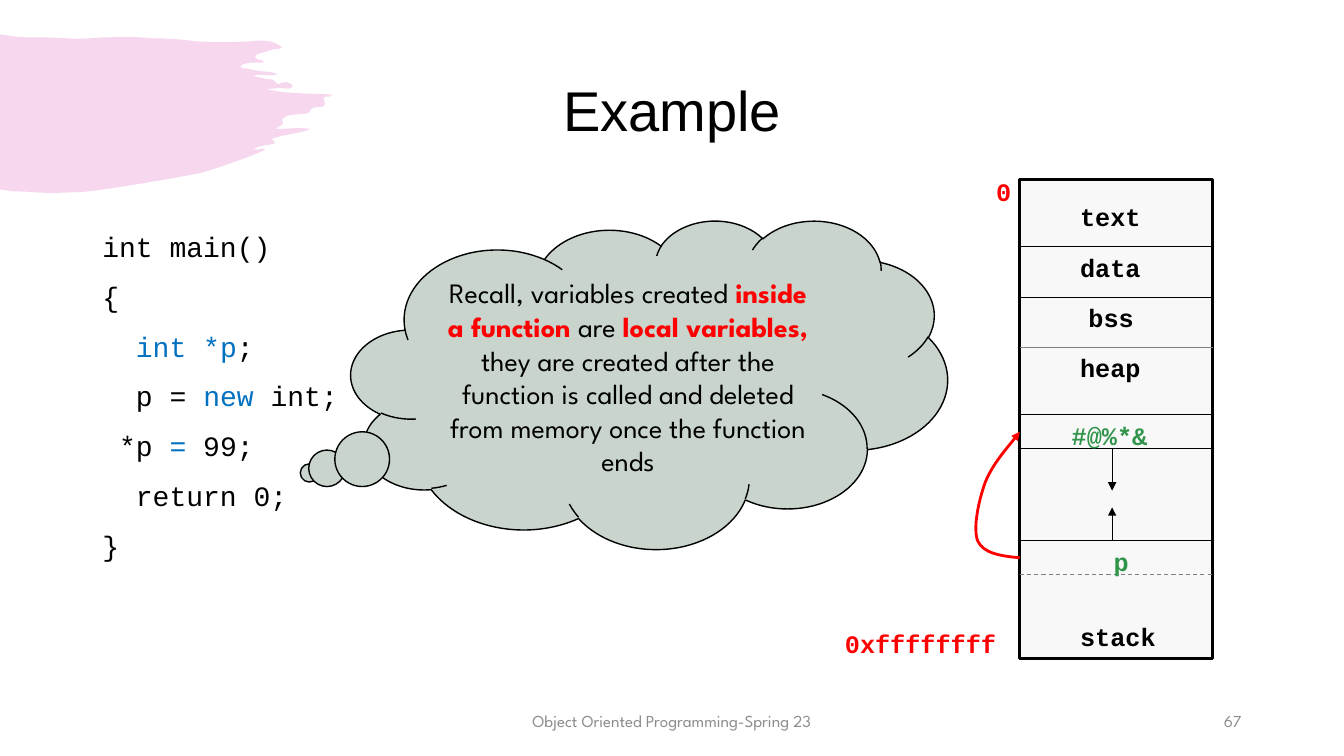
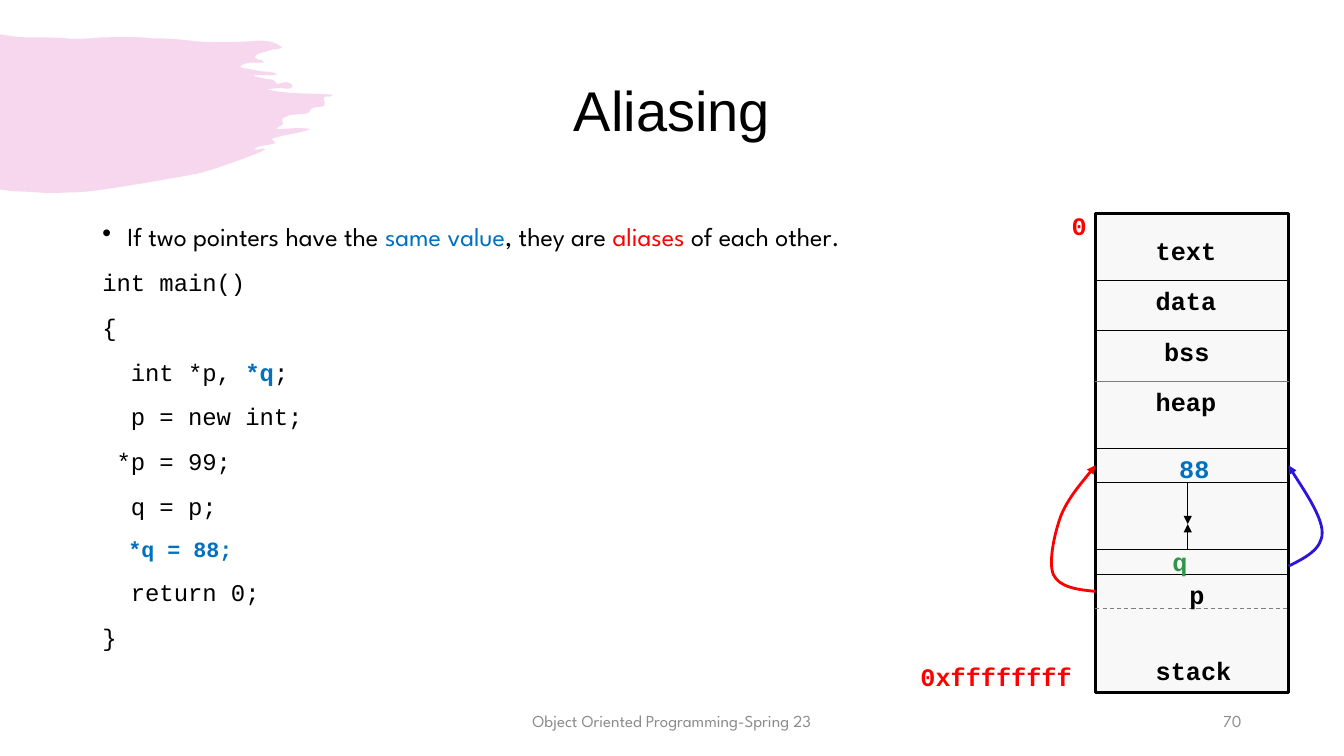
"""Build two slides about pointers, each with a memory map on a 160 by 90 grid."""
from dataclasses import dataclass, replace
from typing import NamedTuple, Optional

from lxml.etree import SubElement
from pptx import Presentation
from pptx.dml.color import RGBColor
from pptx.enum.dml import MSO_LINE
from pptx.enum.shapes import MSO_CONNECTOR, MSO_SHAPE
from pptx.enum.text import MSO_ANCHOR, PP_ALIGN
from pptx.oxml.ns import qn
from pptx.util import Inches, Pt

COLUMNS, ROWS = 160, 90
UNIT = Inches(7.5) / ROWS


@dataclass(frozen=True)
class Theme:
    black: str = "000000"
    red: str = "FF0000"
    blue: str = "0070C0"
    indigo: str = "2C14DE"
    green: str = "31944B"
    gray: str = "7F7F7F"
    footer: str = "8C8C8C"
    memory: str = "F8F8F8"
    cloud: str = "C8D4CC"
    brush: str = "D739AE"
    heading: str = "Arial"
    body: str = "League Spartan"
    code: str = "Courier New"
    title_size: float = 40
    text_size: float = 20
    label_size: float = 18
    footer_size: float = 12
    bullet_size: float = 18.6
    listing_size: float = 17.1
    small_size: float = 15.5


THEME = Theme()


class Area(NamedTuple):
    left: float
    top: float
    width: float
    height: float


class Span(NamedTuple):
    text: str
    color: str = THEME.black
    bold: bool = False


@dataclass(frozen=True)
class Para:
    spans: tuple[Span, ...]
    size: float
    font: str = THEME.body
    align: PP_ALIGN = PP_ALIGN.LEFT
    spacing: float = 1.0
    before: float = 0
    bullet: bool = False


class Label(NamedTuple):
    text: str
    column: float
    row: float
    color: str = THEME.black


class Divider(NamedTuple):
    row: float
    color: str = THEME.black
    dashed: bool = False


class Growth(NamedTuple):
    start: float
    end: float


class Pointer(NamedTuple):
    points: tuple[tuple[float, float], ...]
    color: str


@dataclass(frozen=True)
class Memory:
    left: float
    top: float
    labels: tuple[Label, ...]
    dividers: tuple[Divider, ...]
    growths: tuple[Growth, ...]
    pointers: tuple[Pointer, ...]


MEMORY_WIDTH, MEMORY_HEIGHT, MIDDLE = 23, 57, 11
LABELS = (Label("0xffffffff", -22, 52.8, THEME.red), Label("0", -4, -1, THEME.red),
          Label("text", 6, 2), Label("data", 6, 8), Label("bss", 7, 14),
          Label("heap", 6, 20), Label("stack", 6, 52))
DIVIDERS = (Divider(8), Divider(14), Divider(20, THEME.gray), Divider(28),
            Divider(32), Divider(43), Divider(47, THEME.gray, True))
P_POINTER = Pointer(((0, 45), (-2.2, 44.8), (-4.3, 44.5), (-5, 43), (-5.6, 41.5),
                     (-4.9, 38.2), (-4.1, 36), (-3.2, 33.8), (-0.7, 31), (0, 30)), THEME.red)
Q_POINTER = Pointer(((23, 42), (25, 41), (27, 40), (27, 38), (27, 36),
                     (23.7, 31.3), (23, 30)), THEME.indigo)
BRUSH_TOP = """0,34 6,35 6,35 6,35 13,36 19,37 25,37 39,37 53,37 66,38 78,39 90,38 102,37
118,37 134,36 151,38 165,38 180,39 194,41 212,42 230,42 248,41 259,40 270,39 280,47"""
BRUSH_TIP = """277,49 274,49 271,49 265,51 260,52 255,54 254,55 253,56 253,57 254,58 255,58 256,59
258,59 260,59 262,62 254,63 245,60 238,66 240,68 243,68 246,68 250,69 253,70 256,70
259,71 262,71 266,71 268,72 271,71 275,74 266,76 259,73 251,75 256,77 260,77 263,78
267,79 271,78 273,81 275,84 278,84 280,82 283,81 286,81 288,83 289,83 290,84 290,85
290,87 289,87 287,88 286,88 285,88 284,88 277,86 270,89 263,88 285,94 307,92 330,94"""
BRUSH_BASE = """327,98 324,94 321,97 323,103 323,106 318,106 314,107 309,105 307,111
306,113 302,113 300,113 294,114 288,113 283,116 281,117 279,118 280,120 282,123 280,124 278,125
277,126 275,126 274,128 286,128 297,126 308,128 296,133 282,133 269,138 270,140 273,139 273,142
266,145 259,143 252,148 256,150 259,146 263,148 262,151 207,170 197,172 177,176 118,186 102,188
90,190 77,191 65,191 51,192 37,191 23,190 18,190 13,190 7,189 7,189 0,188 0,188"""


def grid(length: float) -> int:
    """Turn a grid length into EMU."""
    return round(length * UNIT)


def rgb(color: str) -> RGBColor:
    """Turn a hex string into a colour."""
    return RGBColor.from_string(color)


def apply(target, **formats) -> None:
    """Set every format value on the target."""
    for name, value in formats.items():
        setattr(target, name, value)


def paint(shape, fill: Optional[str], line: Optional[str], width: float = 0.75) -> None:
    """Give a shape its fill and outline and drop its shadow."""
    shape.shadow.inherit = False
    for target, color in ((shape.fill, fill), (shape.line.fill, line)):
        if color is None:
            target.background()
        else:
            target.solid()
            target.fore_color.rgb = rgb(color)
    if line:
        shape.line.width = Pt(width)


def add_arrowhead(shape) -> None:
    """Put a triangle at the end of a line."""
    SubElement(shape.element.xpath(".//a:ln")[0], qn("a:tailEnd"), type="triangle")


def write(box, paras: tuple[Para, ...], anchor: MSO_ANCHOR) -> None:
    """Fill a text frame with formatted paragraphs."""
    frame = box.text_frame
    apply(frame, word_wrap=True, vertical_anchor=anchor)
    for index, item in enumerate(paras):
        para = frame.paragraphs[0] if index == 0 else frame.add_paragraph()
        if item.bullet:
            properties = para._p.get_or_add_pPr()
            properties.set("marL", str(Inches(0.25)))
            properties.set("indent", str(-Inches(0.25)))
            SubElement(properties, qn("a:buChar"), char="•")
        apply(para, alignment=item.align, line_spacing=item.spacing,
              space_before=Pt(item.before if index else 0))
        for span in item.spans:
            run = para.add_run()
            run.text = span.text
            apply(run.font, name=item.font, size=Pt(item.size), bold=span.bold)
            run.font.color.rgb = rgb(span.color)


def add_text(page, area: Area, *paras: Para, anchor: MSO_ANCHOR = MSO_ANCHOR.TOP) -> None:
    """Add a text box on the grid."""
    write(page.shapes.add_textbox(*map(grid, area)), paras, anchor)


def add_preset(page, kind: MSO_SHAPE, area: Area, fill: str, width: float):
    """Add a filled preset shape with a black outline."""
    shape = page.shapes.add_shape(kind, *map(grid, area))
    paint(shape, fill, THEME.black, width)
    return shape


def add_curve(page, points: list[tuple[float, float]], closed: bool = False):
    """Add an outline of cubic curves through grid points."""
    start, *rest = [(grid(x), grid(y)) for x, y in points]
    builder = page.shapes.build_freeform(*start)
    builder.add_line_segments(rest, close=closed)
    shape = builder.convert_to_shape()
    segments = shape.element.xpath(".//a:path/a:lnTo")
    for first, second, third in zip(*[iter(segments)] * 3):
        curve = first.makeelement(qn("a:cubicBezTo"))
        first.addprevious(curve)
        for segment in (first, second, third):
            curve.append(segment[0])
            segment.getparent().remove(segment)
    return shape


def add_line(page, start: tuple[float, float], end: tuple[float, float],
             color: str = THEME.black, dashed: bool = False, arrow: bool = False) -> None:
    """Add a thin straight line on the grid."""
    line = page.shapes.add_connector(MSO_CONNECTOR.STRAIGHT, *map(grid, (*start, *end)))
    line.line.width = Pt(0.75)
    line.line.color.rgb = rgb(color)
    if dashed:
        line.line.dash_style = MSO_LINE.DASH
    if arrow:
        add_arrowhead(line)
    SubElement(line.element.spPr, qn("a:effectLst"))


def add_memory(page, memory: Memory) -> None:
    """Draw a memory map with its cells, labels and pointers."""
    left, top = memory.left, memory.top
    add_preset(page, MSO_SHAPE.RECTANGLE, Area(left, top, MEMORY_WIDTH, MEMORY_HEIGHT),
               THEME.memory, 2.25)
    for divider in memory.dividers:
        row = top + divider.row
        add_line(page, (left, row), (left + MEMORY_WIDTH, row), divider.color, divider.dashed)
    for growth in memory.growths:
        add_line(page, (left + MIDDLE, top + growth.start), (left + MIDDLE, top + growth.end),
                 arrow=True)
    for label in memory.labels:
        add_text(page, Area(left + label.column, top + label.row, 21, 4.8),
                 Para((Span(label.text, label.color, True),), THEME.label_size, THEME.code))
    for pointer in memory.pointers:
        curve = add_curve(page, [(left + x, top + y) for x, y in pointer.points])
        paint(curve, None, pointer.color, 2)
        add_arrowhead(curve)


def add_page(deck, title: str, number: str):
    """Add a blank page with the brush stroke, title and footer."""
    page = deck.slides.add_slide(deck.slide_layouts[6])
    pairs = [pair.split(",") for edge in (BRUSH_TOP, BRUSH_TIP, BRUSH_BASE)
             for pair in edge.split()]
    brush = add_curve(page, [(int(x) * 0.12, int(y) * 0.12) for x, y in pairs], True)
    paint(brush, THEME.brush, None)
    SubElement(brush.element.xpath("./p:spPr/a:solidFill/a:srgbClr")[0],
               qn("a:alpha"), val="20000")
    add_text(page, Area(11, 4.8, 138, 17.4),
             Para((Span(title),), THEME.title_size, THEME.heading, PP_ALIGN.CENTER, 0.9),
             anchor=MSO_ANCHOR.MIDDLE)
    for text, left, width, align in (
            ("Object Oriented Programming-Spring 23", 53, 54, PP_ALIGN.CENTER),
            (number, 113, 36, PP_ALIGN.RIGHT)):
        add_text(page, Area(left, 83.4, width, 4.8),
                 Para((Span(text, THEME.footer),), THEME.footer_size, align=align),
                 anchor=MSO_ANCHOR.MIDDLE)
    return page


def code_line(size: float, *spans: Span) -> Para:
    """Make one line of a code listing."""
    return Para(spans, size, THEME.code, spacing=1.07, before=10)


def add_example(deck) -> None:
    """Build the page on local variables."""
    page = add_page(deck, "Example", "67")
    listing = (
        (Span("int main()"),), (Span("{"),),
        (Span("  "), Span("int *p", THEME.blue), Span(";")),
        (Span("  p = "), Span("new", THEME.blue), Span(" int;")),
        (Span(" *p "), Span("=", THEME.blue), Span(" 99;")),
        (Span("  return 0;"),), (Span("}"),))
    add_text(page, Area(11, 26.4, 138, 54.6),
             *(code_line(THEME.text_size, *spans) for spans in listing))
    labels = (Label("p", 10, 43, THEME.green), Label("#@%*&", 5, 28, THEME.green))
    add_memory(page, Memory(121.4, 21.4, LABELS + labels, DIVIDERS,
                            (Growth(32, 37), Growth(43, 39)), (P_POINTER,)))
    cloud = add_preset(page, MSO_SHAPE.CLOUD_CALLOUT, Area(41.8, 26.2, 71, 39.1), THEME.cloud, 1)
    cloud.adjustments[0], cloud.adjustments[1] = -0.57, 0.27
    spans = (Span("Recall, variables created "), Span("inside a function ", THEME.red, True),
             Span("are "), Span("local variables, ", THEME.red, True),
             Span("they are created after the function is called and deleted "
                  "from memory once the function ends"))
    write(cloud, (Para(spans, THEME.text_size, align=PP_ALIGN.CENTER),), MSO_ANCHOR.MIDDLE)


def add_aliasing(deck) -> None:
    """Build the page on pointers that share a value."""
    page = add_page(deck, "Aliasing", "70")
    bullet = Para((Span("If two pointers have the "), Span("same value", THEME.blue),
                   Span(", they are "), Span("aliases ", THEME.red), Span("of each other.")),
                  THEME.bullet_size, spacing=0.8, bullet=True)
    listing = [code_line(THEME.listing_size, *spans) for spans in (
        (Span("int main()"),), (Span("{"),),
        (Span("  int *p, "), Span("*q", THEME.blue, True), Span(";")),
        (Span("  p = new int;"),), (Span(" *p = 99;"),), (Span("  q = p;"),),
        (Span("  *q = 88;", THEME.blue, True),), (Span("  return 0;"),), (Span("}"),))]
    listing[6] = replace(listing[6], size=THEME.small_size)
    add_text(page, Area(11, 26.4, 102, 54.6), bullet, *listing)
    labels = (Label("p", 10, 43), Label("88", 8.8, 28, THEME.blue), Label("q", 8, 39, THEME.green))
    add_memory(page, Memory(130.4, 25.4, LABELS + labels, DIVIDERS + (Divider(40),),
                            (Growth(32, 37), Growth(40, 37)), (P_POINTER, Q_POINTER)))


def main() -> None:
    """Build and save the deck."""
    deck = Presentation()
    apply(deck, slide_width=grid(COLUMNS), slide_height=grid(ROWS))
    add_example(deck)
    add_aliasing(deck)
    deck.save("out.pptx")


if __name__ == "__main__":
    main()
